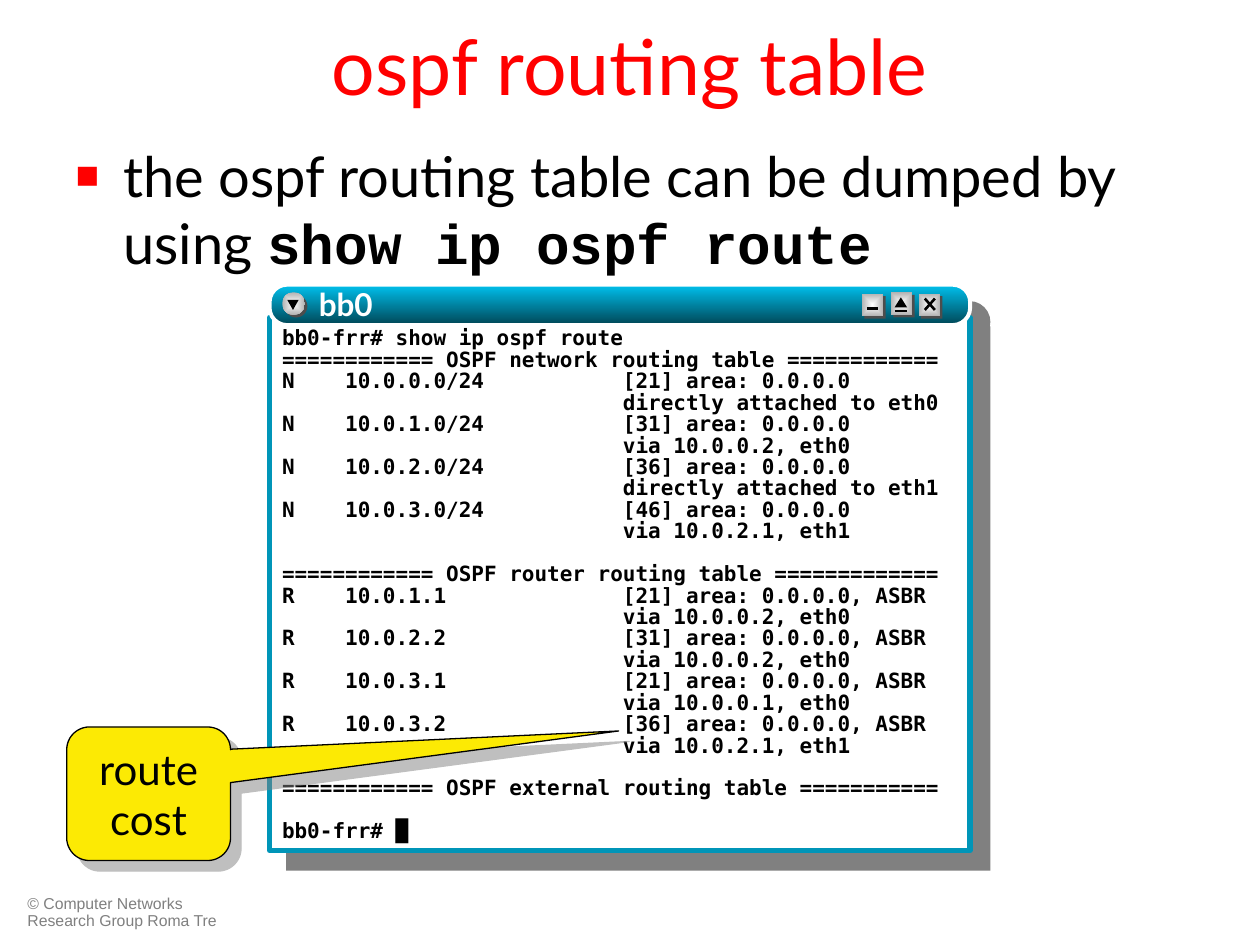
from dataclasses import dataclass

import pptx
import pptx.dml.color
import pptx.enum.shapes
import pptx.enum.text
import pptx.oxml
import pptx.oxml.ns
import pptx.util

RGBColor = pptx.dml.color.RGBColor
Shape = pptx.enum.shapes.MSO_SHAPE
Align = pptx.enum.text.PP_ALIGN
Anchor = pptx.enum.text.MSO_ANCHOR

RED = RGBColor(0xFF, 0x00, 0x00)
BLACK = RGBColor(0x00, 0x00, 0x00)
WHITE = RGBColor(0xFF, 0xFF, 0xFF)
GRAY = RGBColor(0x80, 0x80, 0x80)
DARK_GRAY = RGBColor(0x4D, 0x4D, 0x4D)
SILVER = RGBColor(0xB2, 0xB2, 0xB2)
YELLOW = RGBColor(0xFC, 0xEA, 0x04)
FRAME_BLUE = RGBColor(0x00, 0x95, 0xB8)
BAR_LIGHT = RGBColor(0x00, 0xC1, 0xEE)
BAR_DARK = RGBColor(0x00, 0x46, 0x56)

COLUMNS, ROWS = 100, 75
SLIDE_WIDTH, SLIDE_HEIGHT = pptx.util.Inches(10), pptx.util.Inches(7.5)
TERMINAL_WIDTH, ROUTE_COLUMN = 52, 27
TEXT_FONT, TERMINAL_FONT = "Lato", "DejaVu Sans Mono"
LINEAR = '<a:lin ang="5400000" scaled="0"/>'
FROM_CENTRE = ('<a:path path="rect"><a:fillToRect l="50000" t="50000" '
               'r="50000" b="50000"/></a:path>')


@dataclass(frozen=True)
class Box:
    """Place on the slide grid, in columns and rows."""
    left: float
    top: float
    width: float
    height: float

    def lengths(self) -> tuple[int, ...]:
        return (*point(self.left, self.top), *point(self.width, self.height))


@dataclass(frozen=True)
class Route:
    kind: str
    destination: str
    cost: int
    next_hop: str
    suffix: str = ""

    def lines(self) -> list[str]:
        target = f"{self.kind:<5}{self.destination}".ljust(ROUTE_COLUMN)
        return [f"{target}[{self.cost}] area: 0.0.0.0{self.suffix}",
                " " * ROUTE_COLUMN + self.next_hop]


@dataclass(frozen=True)
class Button:
    face: Box
    strokes: tuple[tuple[float, float, float, float], ...] = ()
    kind: int = Shape.RECTANGLE


NETWORK_ROUTES = [
    Route("N", "10.0.0.0/24", 21, "directly attached to eth0"),
    Route("N", "10.0.1.0/24", 31, "via 10.0.0.2, eth0"),
    Route("N", "10.0.2.0/24", 36, "directly attached to eth1"),
    Route("N", "10.0.3.0/24", 46, "via 10.0.2.1, eth1"),
]
ROUTER_ROUTES = [
    Route("R", "10.0.1.1", 21, "via 10.0.0.2, eth0", ", ASBR"),
    Route("R", "10.0.2.2", 31, "via 10.0.0.2, eth0", ", ASBR"),
    Route("R", "10.0.3.1", 21, "via 10.0.0.1, eth0", ", ASBR"),
    Route("R", "10.0.3.2", 36, "via 10.0.2.1, eth1", ", ASBR"),
]
BUTTONS = [
    Button(Box(22.4, 23.2, 1.8, 1.8), kind=Shape.OVAL),
    Button(Box(68.4, 23.3, 1.7, 1.8), ((68.8, 24.5, 69.7, 24.5),)),
    Button(Box(72.9, 23.3, 1.7, 1.8),
           ((73.4, 24.6, 74.2, 23.7), (73.4, 23.7, 74.2, 24.6))),
    Button(Box(70.7, 23.2, 1.7, 1.8), ((71, 24.7, 72, 24.7),)),
]


def point(column: float, row: float) -> tuple[int, int]:
    return round(SLIDE_WIDTH * column / COLUMNS), round(SLIDE_HEIGHT * row / ROWS)


def element(xml: str):
    """Parse one DrawingML element written with the a: prefix."""
    tag_end = min(xml.index(mark) for mark in " />" if mark in xml)
    return pptx.oxml.parse_xml(
        f"{xml[:tag_end]} {pptx.oxml.ns.nsdecls('a')}{xml[tag_end:]}")


def add_text(paragraph, text: str, *, size: float, font: str = TEXT_FONT,
             color: RGBColor = BLACK, bold: bool = False, align=Align.LEFT,
             spacing: float = 1, before: float = 0):
    paragraph.alignment = align
    paragraph.line_spacing = spacing
    paragraph.space_before = pptx.util.Pt(before)
    run = paragraph.add_run()
    run.text = text
    run.font.size, run.font.name, run.font.bold = pptx.util.Pt(size), font, bold
    run.font.color.rgb = color
    return run


def set_frame(shape, *, anchor=Anchor.TOP, margins=(0.1, 0.05, 0.1, 0.05)):
    frame = shape.text_frame
    frame.word_wrap = True
    frame.auto_size = pptx.enum.text.MSO_AUTO_SIZE.NONE
    frame.vertical_anchor = anchor
    (frame.margin_left, frame.margin_top,
     frame.margin_right, frame.margin_bottom) = map(pptx.util.Inches, margins)
    return frame


def add_text_box(slide, box: Box, **frame_format):
    return set_frame(slide.shapes.add_textbox(*box.lengths()), **frame_format)


def move(shape, box: Box) -> None:
    shape.left, shape.top, shape.width, shape.height = box.lengths()


def add_shape(slide, kind: int, box: Box, fill: RGBColor, *,
              line: RGBColor | None = None, line_width: float = 1, adjustments=()):
    shape = slide.shapes.add_shape(kind, *box.lengths())
    shape.shadow.inherit = False
    shape.fill.solid()
    shape.fill.fore_color.rgb = fill
    if line is None:
        shape.line.fill.background()
    else:
        shape.line.color.rgb = line
        shape.line.width = pptx.util.Pt(line_width)
    for index, value in enumerate(adjustments):
        shape.adjustments[index] = value
    return shape


def set_gradient(shape, start: RGBColor, end: RGBColor, direction: str) -> None:
    solid = shape.element.spPr.find(pptx.oxml.ns.qn("a:solidFill"))
    solid.getparent().replace(solid, element(
        f'<a:gradFill rotWithShape="1"><a:gsLst>'
        f'<a:gs pos="0"><a:srgbClr val="{start}"/></a:gs>'
        f'<a:gs pos="100000"><a:srgbClr val="{end}"/></a:gs>'
        f'</a:gsLst>{direction}</a:gradFill>'))


def shadow(color: RGBColor, alpha: int, distance: float):
    return element(
        f'<a:effectLst><a:outerShdw blurRad="0" dist="{pptx.util.Pt(distance)}" '
        f'dir="2700000" algn="ctr" rotWithShape="0"><a:srgbClr val="{color}">'
        f'<a:alpha val="{alpha * 1000}"/></a:srgbClr></a:outerShdw></a:effectLst>')


def add_button(slide, button: Button) -> None:
    face = button.face
    add_shape(slide, button.kind,
              Box(face.left + 0.2, face.top + 0.2, face.width, face.height), DARK_GRAY)
    set_gradient(add_shape(slide, button.kind, face, WHITE), WHITE, SILVER, FROM_CENTRE)
    for x1, y1, x2, y2 in button.strokes:
        stroke = slide.shapes.add_connector(
            pptx.enum.shapes.MSO_CONNECTOR.STRAIGHT, *point(x1, y1), *point(x2, y2))
        stroke.line.color.rgb = BLACK
        stroke.line.width = pptx.util.Pt(1.5)
        stroke.element.spPr.append(element("<a:effectLst/>"))


def heading(name: str) -> str:
    return f"{'=' * 12} OSPF {name} routing table ".ljust(TERMINAL_WIDTH, "=")


def add_terminal(slide) -> None:
    add_shape(slide, Shape.RECTANGLE, Box(22.7, 25.9, 55.9, 43.2), GRAY)
    add_shape(slide, Shape.ROUNDED_RECTANGLE, Box(22.7, 23.9, 55.9, 3.3), GRAY,
              adjustments=[0.5])
    screen = add_shape(slide, Shape.RECTANGLE, Box(21.4, 25.2, 55.6, 42.3), WHITE,
                       line=FRAME_BLUE, line_width=3)
    frame = set_frame(screen, margins=(0.1, 0.09, 0.1, 0.05))
    blocks = [["bb0-frr# show ip ospf route", heading("network")], [heading("router")],
              [heading("external")], ["bb0-frr# █"]]
    for block, routes in zip(blocks, (NETWORK_ROUTES, ROUTER_ROUTES)):
        block.extend(line for route in routes for line in route.lines())
    for block_index, block in enumerate(blocks):
        for line_index, line in enumerate(block):
            first = block_index == line_index == 0
            paragraph = frame.paragraphs[0] if first else frame.add_paragraph()
            gap = 12.2 if block_index and not line_index else 0
            add_text(paragraph, line, size=12, font=TERMINAL_FONT, bold=True,
                     spacing=0.85, before=gap)
    bar = add_shape(slide, Shape.ROUNDED_RECTANGLE, Box(21.4, 22.6, 55.6, 3.2), BAR_LIGHT,
                    line=WHITE, line_width=2.25, adjustments=[0.43])
    set_gradient(bar, BAR_LIGHT, BAR_DARK, LINEAR)
    for button in BUTTONS:
        add_button(slide, button)
    menu_arrow = add_shape(slide, Shape.ISOSCELES_TRIANGLE, Box(22.8, 23.8, 0.9, 0.8), BLACK)
    menu_arrow.rotation = 180
    add_shape(slide, Shape.ISOSCELES_TRIANGLE, Box(71, 23.6, 1, 0.8), BLACK)
    name = add_text_box(slide, Box(25.3, 22.6, 21.5, 3.2), margins=(0, 0, 0, 0))
    run = add_text(name.paragraphs[0], "bb0", size=18, color=WHITE, bold=True)
    run.font.fill._xPr.find(pptx.oxml.ns.qn("a:solidFill")).addnext(shadow(BLACK, 100, 1))


def main() -> None:
    presentation = pptx.Presentation()
    presentation.slide_width, presentation.slide_height = SLIDE_WIDTH, SLIDE_HEIGHT
    slide = presentation.slides.add_slide(presentation.slide_layouts[1])
    title, body = slide.placeholders

    move(title, Box(5, -1.1, 90, 12.5))
    add_text(set_frame(title, anchor=Anchor.MIDDLE).paragraphs[0], "ospf routing table",
             size=44, color=RED, align=Align.CENTER)

    move(body, Box(5, 10.7, 90, 49.5))
    item = set_frame(body).paragraphs[0]
    properties = item._p.get_or_add_pPr()
    properties.set("marL", str(pptx.util.Inches(0.38)))
    properties.set("indent", str(-pptx.util.Inches(0.38)))
    for xml in (f'<a:buClr><a:srgbClr val="{RED}"/></a:buClr>', '<a:buSzPct val="70000"/>',
                '<a:buFont typeface="Arial"/>', '<a:buChar char="■"/>'):
        properties.append(element(xml))
    add_text(item, "the ospf routing table can be dumped by using ", size=32)
    add_text(item, "show ip ospf route", size=32, font="Courier New", bold=True)

    footer = add_text_box(slide, Box(1.2, 70.6, 17.3, 3.6))
    add_text(footer.paragraphs[0], "© Computer Networks Research Group Roma Tre",
             size=9, font="Arial", color=GRAY, spacing=0.9)

    add_terminal(slide)

    callout = add_shape(slide, Shape.ROUNDED_RECTANGULAR_CALLOUT, Box(5.3, 57.7, 13, 10.6),
                        YELLOW, line=BLACK, line_width=0.75, adjustments=[2.87, -0.47, 0.17])
    effects = callout.element.spPr.find(pptx.oxml.ns.qn("a:effectLst"))
    effects.getparent().replace(effects, shadow(GRAY, 50, 8.5))
    add_text(set_frame(callout, anchor=Anchor.MIDDLE).paragraphs[0], "route cost",
             size=24, align=Align.CENTER)
    presentation.save("out.pptx")


if __name__ == "__main__":
    main()
